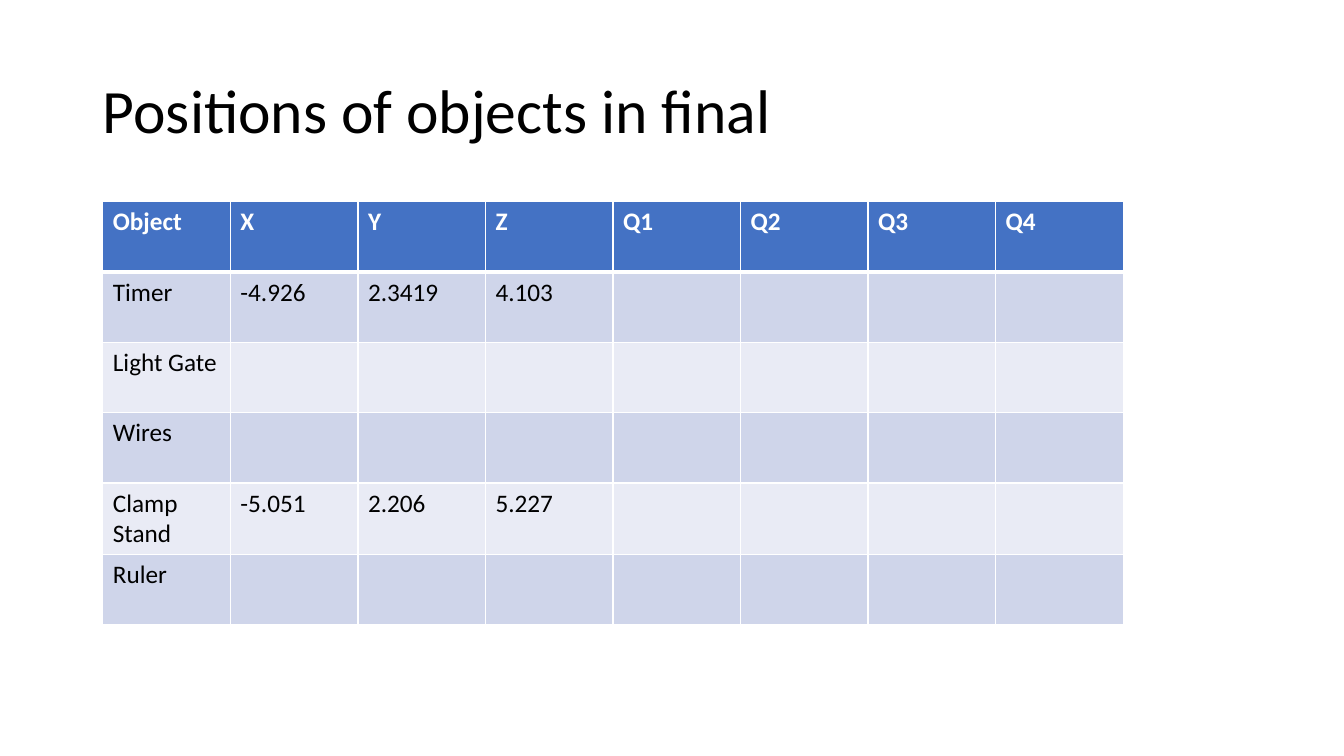
from lxml import etree
from pptx import Presentation
from pptx.dml.color import RGBColor
from pptx.enum.text import MSO_ANCHOR, PP_ALIGN
from pptx.oxml.ns import qn
from pptx.util import Inches, Pt

LEFT = PP_ALIGN.LEFT
MIDDLE = MSO_ANCHOR.MIDDLE
WIDTH, HEIGHT = 13.33, 7.5
TITLE_ONLY = 5
HUES = {"ink": "000000", "white": "FFFFFF", "head": "4472C4",
        "dark": "CFD5EA", "light": "E9EBF5"}

HEADS = ["Object", "X", "Y", "Z", "Q1", "Q2", "Q3", "Q4"]
PLACES = [
    ["Timer", "-4.926", "2.3419", "4.103"],
    ["Light Gate"],
    ["Wires"],
    ["Clamp Stand", "-5.051", "2.206", "5.227"],
    ["Ruler"],
]


def hue(name):
    return RGBColor.from_string(HUES[name])


def write(frame, text, size=18, color="ink", bold=False, space=1.0):
    para = frame.paragraphs[0]
    para.alignment = LEFT
    para.line_spacing = space
    font = para.font
    if text:
        run = para.add_run()
        run.text = text
        font = run.font
    font.name = "Calibri"
    font.size = Pt(size)
    font.bold = bold
    font.color.rgb = hue(color)


def edge(cell, top, base):
    """Draw white cell borders, with the top and base widths in points."""
    props = cell._tc.get_or_add_tcPr()
    sides = {"lnL": 1, "lnR": 1, "lnT": top, "lnB": base}
    for spot, (tag, wide) in enumerate(sides.items()):
        line = etree.Element(qn("a:" + tag), w=str(Pt(wide)))
        fill = etree.SubElement(line, qn("a:solidFill"))
        etree.SubElement(fill, qn("a:srgbClr"), val=HUES["white"])
        props.insert(spot, line)


class Deck:
    """Hold the style and the slide; boxes are shares of the slide's size."""

    def __init__(self):
        self.prs = Presentation()
        self.prs.slide_width = Inches(WIDTH)
        self.prs.slide_height = Inches(HEIGHT)
        layout = self.prs.slide_layouts[TITLE_ONLY]
        self.slide = self.prs.slides.add_slide(layout)

    def box(self, left, top, wide, high):
        return [Inches(WIDTH * left), Inches(HEIGHT * top),
                Inches(WIDTH * wide), Inches(HEIGHT * high)]

    def title(self, text, *share):
        shape = self.slide.shapes.title
        shape.left, shape.top, shape.width, shape.height = self.box(*share)
        frame = shape.text_frame
        frame.word_wrap = True
        frame.vertical_anchor = MIDDLE
        write(frame, text, size=44, space=0.9)

    def table(self, heads, rows, *share):
        shape = self.slide.shapes.add_table(
            len(rows) + 1, len(heads), *self.box(*share))
        for r, row in enumerate([heads] + rows):
            first = r == 0
            fill = "head" if first else ("light", "dark")[r % 2]
            for c in range(len(heads)):
                cell = shape.table.cell(r, c)
                cell.fill.solid()
                cell.fill.fore_color.rgb = hue(fill)
                edge(cell, 3 if r == 1 else 1, 3 if first else 1)
                write(cell.text_frame, row[c] if c < len(row) else "",
                      color="white" if first else "ink", bold=first)

    def save(self):
        self.prs.save("out.pptx")


def main():
    deck = Deck()
    deck.title("Positions of objects in final",
               0.92 / WIDTH, 0.4 / HEIGHT, 11.5 / WIDTH, 1.45 / HEIGHT)
    deck.table(HEADS, PLACES,
               1.02 / WIDTH, 2 / HEIGHT, 10.12 / WIDTH, 4.19 / HEIGHT)
    deck.save()


if __name__ == "__main__":
    main()
